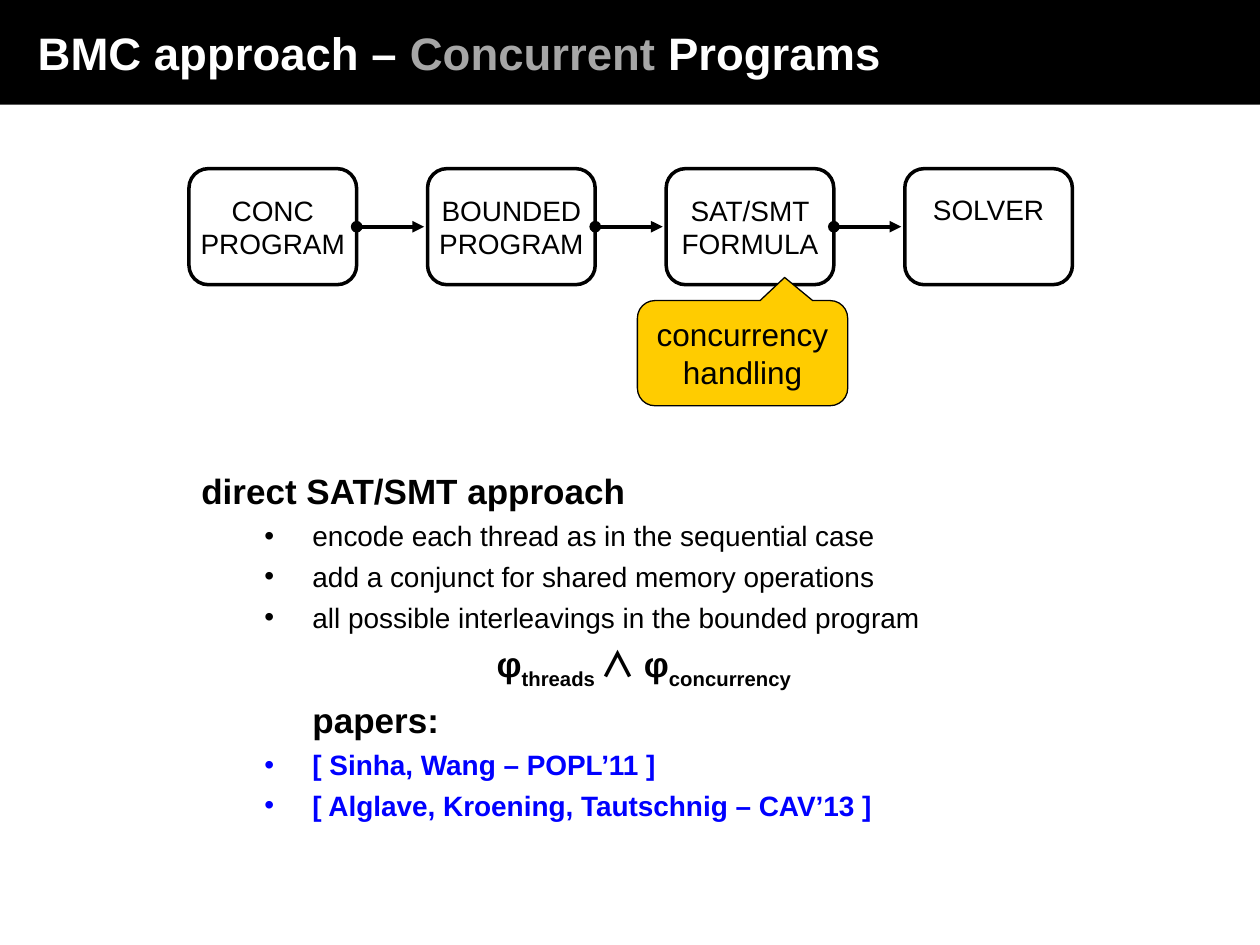
"""Build the slide on bounded model checking of concurrent programs."""
from lxml import etree
from pptx import Presentation
from pptx.dml.color import RGBColor
from pptx.enum.shapes import MSO_CONNECTOR, MSO_SHAPE
from pptx.enum.text import MSO_ANCHOR, MSO_AUTO_SIZE, PP_ALIGN
from pptx.oxml.ns import qn
from pptx.util import Cm, Pt

STRAIGHT = MSO_CONNECTOR.STRAIGHT
ROUNDED = MSO_SHAPE.ROUNDED_RECTANGLE
CALLOUT = MSO_SHAPE.ROUNDED_RECTANGULAR_CALLOUT
TOP, MIDDLE = MSO_ANCHOR.TOP, MSO_ANCHOR.MIDDLE
LEFT, CENTER = PP_ALIGN.LEFT, PP_ALIGN.CENTER
NO_AUTOFIT = MSO_AUTO_SIZE.NONE

BLACK = RGBColor(0x00, 0x00, 0x00)
WHITE = RGBColor(0xFF, 0xFF, 0xFF)
GRAY = RGBColor(0xA6, 0xA6, 0xA6)
YELLOW = RGBColor(0xFF, 0xCC, 0x00)
BLUE = RGBColor(0x00, 0x00, 0xFF)

FONT = "Arial"
SYMBOL_FONT = "Noto Sans CJK JP"

STAGES = [
    (["CONC", "PROGRAM"], MIDDLE),
    (["BOUNDED", "PROGRAM"], MIDDLE),
    (["SAT/SMT", "FORMULA"], MIDDLE),
    (["SOLVER"], TOP),
]
STAGE_LEFT, STAGE_TOP = Cm(3.81), Cm(3.4)
STAGE_WIDTH, STAGE_HEIGHT = Cm(3.38), Cm(2.34)
STAGE_PITCH = Cm(4.81)
ARROW_LENGTH = Cm(1.36)

STEPS = [
    "encode each thread as in the sequential case",
    "add a conjunct for shared memory operations",
    "all possible interleavings in the bounded program",
]
PAPERS = [
    "[ Sinha, Wang – POPL’11 ]",
    "[ Alglave, Kroening, Tautschnig – CAV’13 ]",
]
ITEM_MARGIN, ITEM_HANGING = Cm(2.24), Cm(0.97)
FORMULA_MARGIN = Cm(5.95)


def style_font(font, size, color=BLACK, bold=False):
    """Set the common typeface with a size, colour and weight."""
    font.name, font.size, font.bold = FONT, Pt(size), bold
    font.color.rgb = color


def set_insets(frame, left=0, top=0):
    """Set the left and top insets and clear the others."""
    frame.margin_left, frame.margin_top = left, top
    frame.margin_right = frame.margin_bottom = 0


def add_title(slide, width):
    """Turn the title placeholder into a black band."""
    title = slide.shapes.title
    title.left, title.top, title.width, title.height = 0, 0, width, Cm(2.11)
    title.fill.solid()
    title.fill.fore_color.rgb = BLACK
    frame = title.text_frame
    frame.auto_size, frame.vertical_anchor = NO_AUTOFIT, MIDDLE
    set_insets(frame, left=Cm(0.76))
    paragraph = frame.paragraphs[0]
    paragraph.alignment = LEFT
    style_font(paragraph.font, 26, WHITE, True)
    for text, color in [("BMC approach – ", WHITE), ("Concurrent ", GRAY), ("Programs", WHITE)]:
        run = paragraph.add_run()
        run.text = text
        run.font.color.rgb = color


def add_box(slide, kind, box, lines, size, fill, line_width, anchor=MIDDLE):
    """Add an outlined shape with centred lines of text."""
    shape = slide.shapes.add_shape(kind, *box)
    shape.shadow.inherit = False
    shape.fill.solid()
    shape.fill.fore_color.rgb = fill
    shape.line.color.rgb = BLACK
    shape.line.width = Pt(line_width)
    frame = shape.text_frame
    frame.vertical_anchor = anchor
    set_insets(frame, top=Cm(0.36) if anchor == TOP else 0)
    frame.text = "\n".join(lines)
    for paragraph in frame.paragraphs:
        paragraph.alignment = CENTER
        style_font(paragraph.font, size)
    return shape


def add_arrow(slide, left, top):
    """Add a horizontal arrow that starts with a dot."""
    arrow = slide.shapes.add_connector(STRAIGHT, left, top, left + ARROW_LENGTH, top)
    arrow.line.color.rgb = BLACK
    arrow.line.width = Pt(2.25)
    line = arrow.line._get_or_add_ln()
    etree.SubElement(line, qn("a:headEnd"), type="oval")
    etree.SubElement(line, qn("a:tailEnd"), type="triangle")
    etree.SubElement(arrow._element.spPr, qn("a:effectLst"))


def add_pipeline(slide):
    """Add the stages, the arrows between them and the callout."""
    lefts = [STAGE_LEFT + index * STAGE_PITCH for index in range(len(STAGES))]
    for left, (lines, anchor) in zip(lefts, STAGES):
        box = (left, STAGE_TOP, STAGE_WIDTH, STAGE_HEIGHT)
        add_box(slide, ROUNDED, box, lines, 16, WHITE, 2, anchor)
    for left in lefts[:-1]:
        add_arrow(slide, left + STAGE_WIDTH, STAGE_TOP + STAGE_HEIGHT // 2)
    box = (Cm(12.85), Cm(6.06), Cm(4.24), Cm(2.12))
    callout = add_box(slide, CALLOUT, box, ["concurrency", "handling"], 18, YELLOW, 0.75)
    callout.adjustments[0] = 0.2
    callout.adjustments[1] = -0.72


def add_paragraph(frame, text, size, color=BLACK, bold=False, margin=0, bullet=False):
    """Append a paragraph, optionally indented and bulleted."""
    first = not frame.text
    paragraph = frame.paragraphs[0] if first else frame.add_paragraph()
    properties = paragraph._p.get_or_add_pPr()
    properties.set("marL", str(margin))
    properties.set("indent", str(-ITEM_HANGING if bullet else 0))
    if not first:
        paragraph.space_before = Pt(size / 4)
    if bullet:
        etree.SubElement(properties, qn("a:buFont"), typeface=FONT)
        etree.SubElement(properties, qn("a:buChar"), char="•")
    style_font(paragraph.font, size, color, bold)
    if text:
        paragraph.add_run().text = text
    return paragraph


def add_formula(frame):
    """Append the conjunction of the two subscripted formulas."""
    paragraph = add_paragraph(frame, "", 20, bold=True, margin=FORMULA_MARGIN)
    for text in ["φ", "threads ", "∧ ", "φ", "concurrency"]:
        run = paragraph.add_run()
        run.text = text
        properties = run._r.get_or_add_rPr()
        if text == "∧ ":
            run.font.name = SYMBOL_FONT
            etree.SubElement(properties, qn("a:ea"), typeface=SYMBOL_FONT)
        elif text != "φ":
            properties.set("baseline", "-25000")


def add_explanation(slide):
    """Add the text on the direct approach and its papers."""
    box = slide.shapes.add_textbox(Cm(3.81), Cm(9.35), Cm(21.16), Cm(9.27))
    frame = box.text_frame
    frame.word_wrap = True
    add_paragraph(frame, "direct SAT/SMT approach", 20, bold=True)
    for step in STEPS:
        add_paragraph(frame, step, 16, margin=ITEM_MARGIN, bullet=True)
    add_formula(frame)
    add_paragraph(frame, "papers:", 20, bold=True, margin=ITEM_MARGIN)
    for paper in PAPERS:
        add_paragraph(frame, paper, 16, BLUE, True, ITEM_MARGIN, True)


def main():
    """Build and save the presentation."""
    presentation = Presentation()
    presentation.slide_width, presentation.slide_height = Cm(25.4), Cm(19.05)
    slide = presentation.slides.add_slide(presentation.slide_layouts[5])
    add_title(slide, presentation.slide_width)
    add_pipeline(slide)
    add_explanation(slide)
    presentation.save("out.pptx")


if __name__ == "__main__":
    main()
